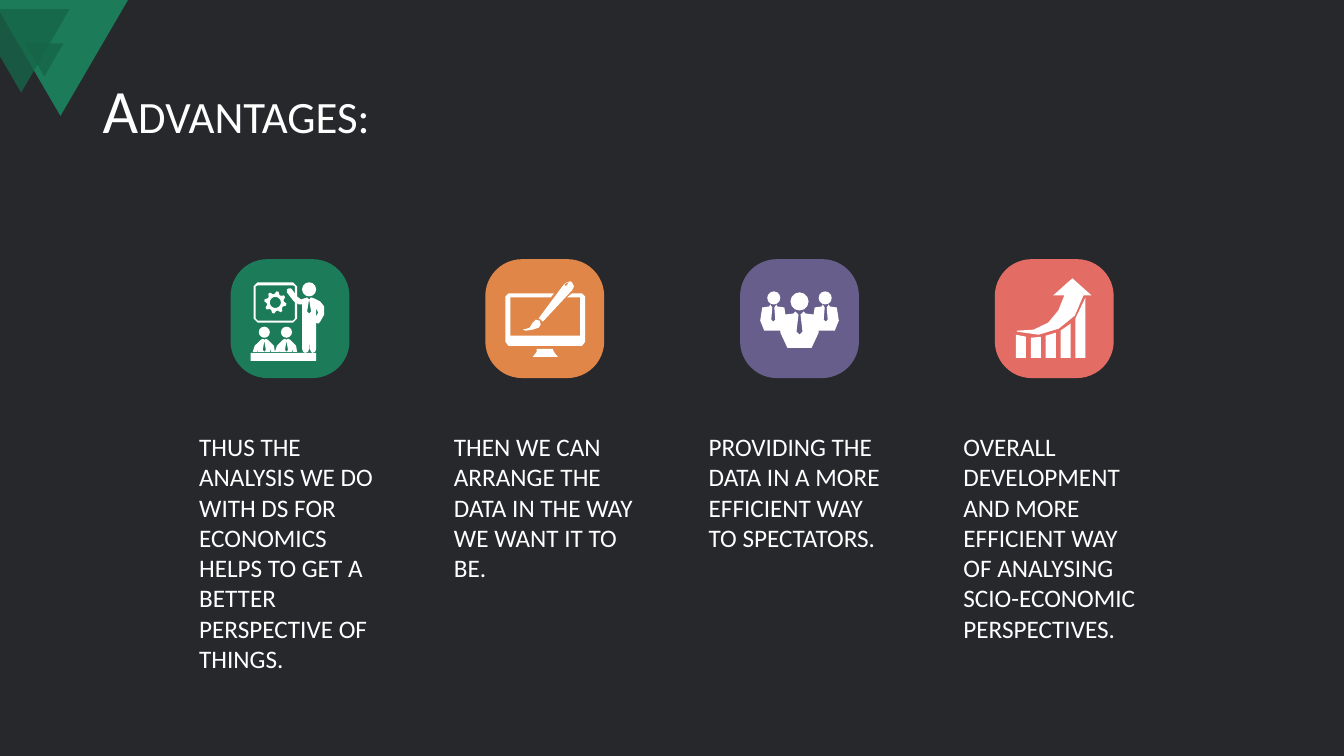
import math
from dataclasses import dataclass
from typing import Any

from lxml import etree
from pptx import Presentation
from pptx import util as u
from pptx.dml.color import RGBColor
from pptx.enum import shapes, text
from pptx.oxml.ns import qn

Point = tuple[float, float]
Contour = list[Point]
UNIT = u.Cm(2.54) / 100  # drawing grid of the icons
TILE = 118  # tile side in grid units


@dataclass(frozen=True)
class Theme:
    background: str = "27282C"
    white: str = "FFFFFF"
    green: str = "1C7C5A"
    dark_green: str = "166548"
    orange: str = "E08648"
    purple: str = "675E8C"
    coral: str = "E36C64"
    font: str = "Calibri"
    capital_size: int = 44
    title_size: int = 32
    body_size: int = 18


@dataclass(frozen=True)
class Block:
    """A preset shape on the icon grid."""
    left: float
    top: float
    width: float
    height: float
    kind: Any = shapes.MSO_SHAPE.OVAL


@dataclass(frozen=True)
class Outline:
    """A closed outline, with any holes after the first contour."""
    contours: list[Contour]


@dataclass(frozen=True)
class Advantage:
    color: str
    wording: str
    lines: int
    icon: list[Block | Outline]


THEME = Theme()


# Formatting helpers
def set_format(target: Any, values: dict[str, Any]) -> None:
    for name, value in values.items():
        setattr(target, name, value)


def paint(shape: Any, color: str, alpha: int = 100) -> None:
    shape.shadow.inherit = False
    shape.fill.solid()
    shape.fill.fore_color.rgb = RGBColor.from_string(color)
    shape.line.fill.background()
    if alpha < 100:
        color_node = shape._element.spPr.find(qn("a:solidFill"))[0]
        etree.SubElement(color_node, qn("a:alpha"), val=str(alpha * 1000))


def add_run(paragraph: Any, wording: str, size: int) -> None:
    run = paragraph.add_run()
    run.text = wording
    set_format(run.font, {"name": THEME.font, "size": u.Pt(size)})
    run.font.color.rgb = RGBColor.from_string(THEME.white)


# Drawing helpers
def draw_outline(canvas: Any, outline: Outline, left: int, top: int,
                 color: str, alpha: int = 100) -> None:
    contours = [[(round(left + x * UNIT), round(top + y * UNIT)) for x, y in contour]
                for contour in outline.contours]
    builder = canvas.build_freeform(*contours[0][0])
    for index, contour in enumerate(contours):
        if index:
            builder.move_to(*contour[0])
        builder.add_line_segments(contour[1:], close=True)
    paint(builder.convert_to_shape(), color, alpha)


def draw_block(canvas: Any, block: Block, left: int, top: int, color: str) -> Any:
    shape = canvas.add_shape(
        block.kind, round(left + block.left * UNIT), round(top + block.top * UNIT),
        round(block.width * UNIT), round(block.height * UNIT))
    paint(shape, color)
    return shape


def ring(center: Point, radii: list[float], turn: float = 0) -> Contour:
    step = 2 * math.pi / len(radii)
    return [(center[0] + radius * math.cos(step * index + turn),
             center[1] + radius * math.sin(step * index + turn))
            for index, radius in enumerate(radii)]


# Icons
def spectator(left: float) -> list[Block | Outline]:
    body = [(0, 92), (2, 86), (8, 80), (10, 79), (11.5, 80), (13, 79), (15, 80), (21, 86),
            (22, 92), (18, 92), (17, 88), (17, 92), (11.5, 92), (13, 90), (11.5, 81),
            (10, 90), (11.5, 92), (5, 92), (5, 88), (4.5, 92)]
    return [Block(left + 6, 67, 11, 11), Outline([[(left + x, y) for x, y in body]])]


def lecture_icon() -> list[Block | Outline]:
    board = Outline([
        [(23, 27), (27, 23), (62, 23), (66, 27), (66, 59), (62, 63), (27, 63), (23, 59)],
        [(25, 27), (27, 26), (62, 26), (64, 27), (64, 59), (62, 61), (27, 61), (25, 59)]])
    gear = Outline([ring((44.5, 43), [11, 11, 8.5, 8.5] * 8, 0.1),
                    ring((44.5, 43), [5.5] * 24)])
    presenter = Outline([
        [(83, 39), (80, 38), (78, 40), (76, 38), (73, 39), (70, 40), (66, 37), (61, 30),
         (60, 29), (58, 29), (56, 30), (56, 33), (59, 37), (63, 42), (68, 45), (71, 45),
         (71, 89), (72, 92), (74, 93), (77, 92), (78, 89), (78, 66), (78.5, 89), (80, 92),
         (81, 93), (84, 92), (85, 89), (85, 63), (87, 64), (89, 62), (93, 55), (93, 47),
         (89, 42)],
        [(78, 54), (76, 52), (78, 40), (80, 52)],
        [(85, 57), (85, 49), (87, 53)]])
    stage = Block(20, 93, 65, 8, shapes.MSO_SHAPE.RECTANGLE)
    return [presenter, Block(71, 23, 14, 14), board, gear,
            *spectator(22), *spectator(44), stage]


def design_icon() -> list[Block | Outline]:
    stand = [(51, 89), (67, 89), (68, 92), (72, 97), (47, 97), (51, 92)]
    bristles = [(41, 69), (44, 68), (47, 63), (50, 60), (54, 61), (55, 65), (53, 68),
                (47, 70), (40, 71), (37, 70)]
    handle = [(86, 23), (84, 22), (81, 23), (78, 25), (55, 56), (53, 59), (55, 60),
              (57, 62), (59, 60), (86, 31), (88, 27)]
    shine = [(80, 27), (78.5, 25), (82, 23), (83, 23)]
    monitor = [(96, 34), (86, 34), (81, 38), (94, 38), (94, 76), (25, 76), (25, 38),
               (65, 38), (68, 34), (23, 34), (20, 37), (20, 82), (23, 86), (96, 86),
               (99, 82), (99, 37)]
    return [Outline([stand]), Outline([bristles]), Outline([handle, shine]),
            Outline([monitor])]


def team_icon() -> list[Block | Outline]:
    right_half = [(71, 88), (78, 73), (78, 71), (94, 71), (98, 61), (96, 48), (89, 47),
                  (88, 45), (86, 48), (87, 60), (85, 62), (83, 60), (84, 48), (82, 45),
                  (81, 47), (74, 48), (73, 55), (65, 54), (63, 52), (60, 55), (62, 72),
                  (59, 75)]
    left_half = [(TILE - x, y) for x, y in reversed(right_half)]
    return [Block(50, 33, 18, 18), Block(27, 32, 13, 13), Block(78, 32, 13, 13),
            Outline([right_half + left_half])]


def growth_icon() -> list[Block | Outline]:
    arrow = [(96, 36), (77, 19), (58, 36), (69, 36), (63, 51), (53, 63), (38.5, 70),
             (22, 71), (22, 72), (43.5, 75), (63.5, 69), (79.5, 56), (88, 36)]
    bar_tops = [(75, 77), (78, 77), (76, 73), (71, 64), (59, 38)]
    bars = []
    for index, (left_top, right_top) in enumerate(bar_tops):
        left = 21 + 14.75 * index
        bars.append(Outline([[(left, 98), (left, left_top),
                              (left + 10, right_top), (left + 10, 98)]]))
    return [Outline([arrow]), *bars]


ADVANTAGES = [
    Advantage(THEME.green, "THUS THE ANALYSIS WE DO WITH DS FOR ECONOMICS HELPS TO GET A "
              "BETTER PERSPECTIVE OF THINGS.", 8, lecture_icon()),
    Advantage(THEME.orange, "THEN WE CAN ARRANGE THE DATA IN THE WAY WE WANT IT TO BE.",
              5, design_icon()),
    Advantage(THEME.purple, "PROVIDING THE DATA IN A MORE EFFICIENT WAY TO SPECTATORS.",
              4, team_icon()),
    Advantage(THEME.coral, "OVERALL DEVELOPMENT AND MORE EFFICIENT WAY OF ANALYSING "
              "SCIO-ECONOMIC PERSPECTIVES.", 7, growth_icon()),
]
CORNER = [
    ([(0, 0), (127, 0), (60, 115), (0, 12)], THEME.green, 100),
    ([(25, 43), (63, 43), (44, 76)], THEME.dark_green, 80),
    ([(0, 9), (69, 9), (21, 92), (0, 56)], THEME.dark_green, 80),
]


# Slide parts
def add_title(slide: Any) -> None:
    title = slide.shapes.title
    set_format(title, {"left": u.Cm(2.33), "top": u.Cm(1.01),
                       "width": u.Cm(29.21), "height": u.Cm(3.68)})
    set_format(title.text_frame, {"vertical_anchor": text.MSO_ANCHOR.MIDDLE,
                                  "word_wrap": True})
    paragraph = title.text_frame.paragraphs[0]
    set_format(paragraph, {"alignment": text.PP_ALIGN.LEFT, "line_spacing": 0.9})
    add_run(paragraph, "A", THEME.capital_size)
    add_run(paragraph, "DVANTAGES:", THEME.title_size)


def add_advantage(slide: Any, advantage: Advantage, offset: int) -> None:
    left, top = u.Cm(5.81) + offset, u.Cm(6.53)
    group = slide.shapes.add_group_shape().shapes
    tile = draw_block(group, Block(0, 0, TILE, TILE, shapes.MSO_SHAPE.ROUNDED_RECTANGLE),
                      left, top, advantage.color)
    tile.adjustments[0] = 0.31
    for part in advantage.icon:
        draw = draw_block if isinstance(part, Block) else draw_outline
        draw(group, part, left, top, THEME.white)
    box = slide.shapes.add_textbox(u.Cm(4.77) + offset, u.Cm(10.75), u.Cm(5.05),
                                   u.Cm(0.25 + 0.77 * advantage.lines))
    set_format(box.text_frame, {"word_wrap": True,
                                "auto_size": text.MSO_AUTO_SIZE.SHAPE_TO_FIT_TEXT})
    add_run(box.text_frame.paragraphs[0], advantage.wording, THEME.body_size)


def main() -> None:
    presentation = Presentation()
    set_format(presentation, {"slide_width": u.Cm(33.87), "slide_height": u.Cm(19.05)})
    slide = presentation.slides.add_slide(presentation.slide_layouts[5])
    slide.background.fill.solid()
    slide.background.fill.fore_color.rgb = RGBColor.from_string(THEME.background)
    for contour, color, alpha in CORNER:
        draw_outline(slide.shapes, Outline([contour]), 0, 0, color, alpha)
    add_title(slide)
    for index, advantage in enumerate(ADVANTAGES):
        add_advantage(slide, advantage, u.Cm(6.42) * index)
    presentation.save("out.pptx")


if __name__ == "__main__":
    main()
